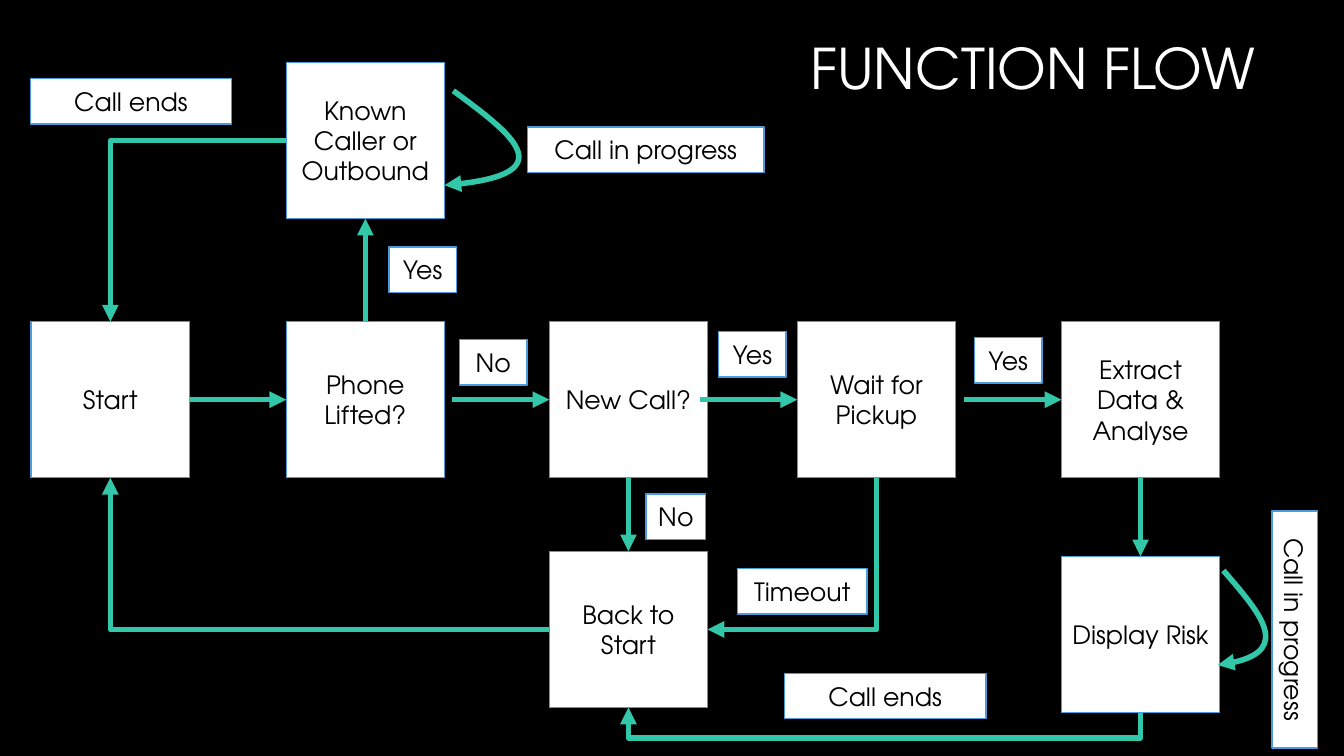
from lxml import etree
from pptx import Presentation
from pptx import util as u
from pptx.dml.color import RGBColor
from pptx.enum import shapes, text
from pptx.oxml.ns import qn

FONT = "TeX Gyre Adventor"
GREEN, BLUE, WHITE, BLACK = "32C7A9", "4A9BDC", "FFFFFF", "000000"
TOP, LEFT, BOTTOM, RIGHT = range(4)
NODE_W, NODE_H = 113, 111.6
ARROW = 69.3
LABEL_H = 32.4


def rgb(value):
    return RGBColor.from_string(value)


def sub(parent, tag, **attrs):
    return etree.SubElement(parent, qn(tag), attrs)


def set_text(sp, words, size, color, align):
    tf = sp.text_frame
    for name, value in {"word_wrap": True, "auto_size": text.MSO_AUTO_SIZE.NONE,
                        "vertical_anchor": text.MSO_ANCHOR.MIDDLE}.items():
        setattr(tf, name, value)
    p = tf.paragraphs[0]
    p.alignment = align
    r = p.add_run()
    r.text = words
    for name, value in {"name": FONT, "size": u.Pt(size), "bold": False}.items():
        setattr(r.font, name, value)
    r.font.color.rgb = rgb(color)
    return p


def block(s, words, x, y, w, h, turn=0):
    sp = s.shapes.add_shape(shapes.MSO_SHAPE.RECTANGLE, *map(u.Pt, (x, y, w, h)))
    sp.shadow.inherit = False
    sp.rotation = turn
    sp.fill.solid()
    sp.fill.fore_color.rgb = rgb(WHITE)
    sp.line.color.rgb = rgb(BLUE)
    sp.line.width = u.Pt(1)
    set_text(sp, words, 18, BLACK, text.PP_ALIGN.CENTER)
    return sp


def arrow_line(sp):
    """Green line with an arrowhead at its end."""
    sp.line.color.rgb = rgb(GREEN)
    sp.line.width = u.Pt(4)
    sub(sp._element.spPr.find(qn("a:ln")), "a:tailEnd", type="triangle")


def connect(s, a, a_side, b, b_side, kind=shapes.MSO_CONNECTOR.STRAIGHT):
    c = s.shapes.add_connector(kind, 0, 0, 0, 0)
    c.begin_connect(a, a_side)
    c.end_connect(b, b_side)
    arrow_line(c)
    sub(c._element.spPr, "a:effectLst")
    return c


def elbow(s, a, a_side, b, b_side, preset, turn, flip=None, drop=None):
    """Bent arrow; drop is how far its middle part lies below the start."""
    c = connect(s, a, a_side, b, b_side, shapes.MSO_CONNECTOR.ELBOW)
    x, y, w, h = c.left, c.top, c.width, c.height
    if turn == 90:
        x, y, w, h = x + (w - h) // 2, y + (h - w) // 2, h, w
    c.left, c.top, c.width, c.height = x, y, w, h
    xfrm = c._element.spPr.find(qn("a:xfrm"))
    for name in ("flipH", "flipV"):
        xfrm.attrib.pop(name, None)
    xfrm.set("rot", str(turn * 60000))
    if flip:
        xfrm.set(flip, "1")
    geom = c._element.spPr.find(qn("a:prstGeom"))
    geom.set("prst", preset)
    if drop:
        ratio = round(-u.Pt(drop) / w * 100000)
        sub(geom.find(qn("a:avLst")), "a:gd", name="adj1", fmla=f"val {ratio}")


def loop_arrow(s, x, y, w, h):
    """Curve from the upper left, bulging right, back to the lower left."""
    x, y, w, h = map(u.Pt, (x, y, w, h))
    fb = s.shapes.build_freeform(x + round(.12 * w), y)
    fb.add_line_segments([(x + w, y + h // 2), (x, y + h)], close=False)
    sp = fb.convert_to_shape()
    sp.shadow.inherit = False
    sp.fill.background()
    outline = next(sp._element.iter(qn("a:path")))
    for segment in outline.findall(qn("a:lnTo")):
        outline.remove(segment)
    curve = sub(outline, "a:cubicBezTo")
    for px, py in ((.9, .45), (1.68, .9), (0, 1)):
        sub(curve, "a:pt", x=str(round(px * w)), y=str(round(py * h)))
    arrow_line(sp)


def title(s, x, y, w, h):
    sp = s.shapes.title
    for name, value in zip(("left", "top", "width", "height"), (x, y, w, h)):
        setattr(sp, name, u.Pt(value))
    p = set_text(sp, "FUNCTION FLOW", 40, WHITE, text.PP_ALIGN.RIGHT)
    p.line_spacing = .9


def flow(s, x, y):
    """Steps and arrows; x, y is the corner of the Start step."""
    def node(words, dx, dy=0):
        return block(s, words, x + dx, y + dy, NODE_W, NODE_H)

    # Steps
    row_x = (0, 182.2, 370.1, 547.2, 735.9)
    row_words = ("Start", "Phone Lifted?", "New Call?", "Wait for Pickup",
                 "Extract Data & Analyse")
    row = [node(words, dx) for words, dx in zip(row_words, row_x)]
    start, lifted, new_call, wait, extract = row
    known = node("Known Caller or Outbound", row_x[1], -185.1)
    back = node("Back to Start", row_x[2], 164.1)
    risk = node("Display Risk", row_x[4], 167.7)

    # Straight arrows
    connect(s, start, RIGHT, lifted, LEFT)
    for step in row[2:]:
        c = connect(s, lifted, RIGHT, step, LEFT)
        c._element.nvCxnSpPr.cNvCxnSpPr._remove_stCxn()
        c.begin_x = step.left - u.Pt(ARROW)
    for a, a_side, b, b_side in ((lifted, TOP, known, BOTTOM),
                                 (new_call, BOTTOM, back, TOP),
                                 (extract, BOTTOM, risk, TOP)):
        connect(s, a, a_side, b, b_side)

    # Bent arrows
    elbow(s, back, LEFT, start, BOTTOM, "bentConnector2", 180)
    elbow(s, known, LEFT, start, TOP, "bentConnector2", 180, "flipV")
    elbow(s, wait, BOTTOM, back, RIGHT, "bentConnector2", 90)
    elbow(s, risk, BOTTOM, back, BOTTOM, "bentConnector3", 90, "flipH", 18)

    # Loops beside the steps that repeat
    loop_arrow(s, x + row_x[1] + NODE_W, y - 164.9, 52.6, 67.5)
    loop_arrow(s, x + row_x[4] + NODE_W - 1.4, y + 177.8, 33.8, 67.5)


def labels(s, x, y):
    """Conditions beside the arrows; x, y is the corner of the Start step."""
    for words, dx, dy, w, turn in (
            ("Yes", 255.6, -53.3, 48.2, 0),
            ("Yes", 673.9, 11.5, 48.2, 0),
            ("Yes", 491.1, 7.2, 48.2, 0),
            ("No", 306, 13, 48.2, 0),
            ("Call ends", -.7, -173.5, 144, 0),
            ("Call in progress", 354.3, -139, 169.2, 0),
            ("Call ends", 537.9, 251.3, 144, 0),
            ("Timeout", 504.7, 176.4, 92.2, 0),
            ("No", 439.2, 123.1, 42.5, 0),
            ("Call in progress", 817.9, 203.7, 169.2, 90)):
        block(s, words, x + dx, y + dy, w, LABEL_H, turn)


def main():
    prs = Presentation()
    prs.slide_width, prs.slide_height = u.Pt(960), u.Pt(540)
    s = prs.slides.add_slide(prs.slide_layouts[5])
    s.background.fill.solid()
    s.background.fill.fore_color.rgb = rgb(BLACK)
    title(s, 225.4, 0, 678.2, 101.5)
    flow(s, 22.3, 229.7)
    labels(s, 22.3, 229.7)
    prs.save("out.pptx")


if __name__ == "__main__":
    main()
